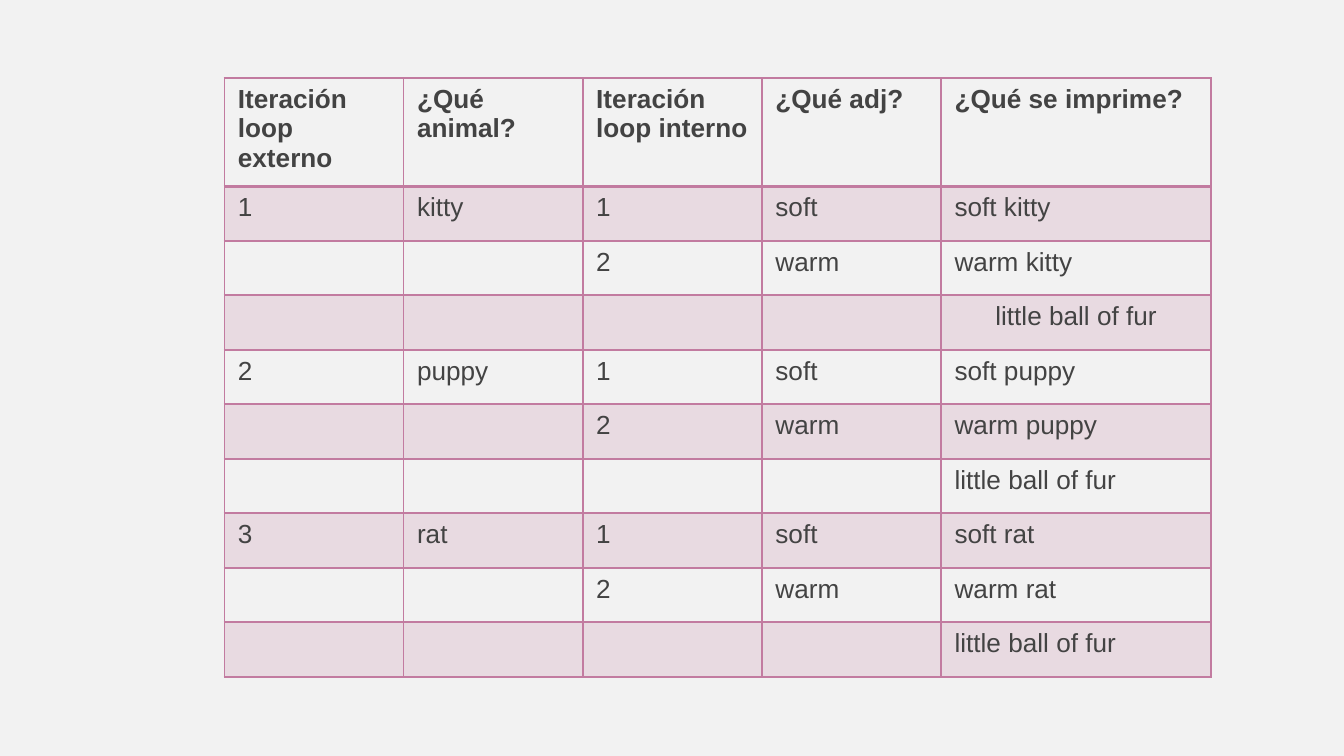
from dataclasses import dataclass

from lxml import etree
from pptx import Presentation
from pptx.dml.color import RGBColor
from pptx.enum.text import PP_ALIGN
from pptx.oxml.ns import qn
from pptx.table import _Cell
from pptx.util import Inches, Pt

CENTER = PP_ALIGN.CENTER
LEFT = PP_ALIGN.LEFT
BACKGROUND = RGBColor(0xF2, 0xF2, 0xF2)
PINK = RGBColor(0xC2, 0x7B, 0xA0)
GRAY = RGBColor(0x43, 0x43, 0x43)
BAND_ALPHA = 20

HEADERS = (
    "Iteración loop externo",
    "¿Qué animal?",
    "Iteración loop interno",
    "¿Qué adj?",
    "¿Qué se imprime?",
)
ANIMALS = ("kitty", "puppy", "rat")
ADJECTIVES = ("soft", "warm")
CLOSING = "little ball of fur"

COL_WIDTHS = [Inches(4) // 3] * 4 + [Inches(2.01)]
ROW_HEIGHT = Pt(29.2)
TABLE_HEIGHT = Inches(4.45)


@dataclass(frozen=True)
class TraceRow:
    values: tuple[str, ...]
    bold: bool = False
    banded: bool = False
    last_align: PP_ALIGN = LEFT


def trace_rows() -> list[TraceRow]:
    steps = []
    for outer, animal in enumerate(ANIMALS, 1):
        for inner, adj in enumerate(ADJECTIVES, 1):
            first = (str(outer), animal) if inner == 1 else ("", "")
            steps.append((*first, str(inner), adj, f"{adj} {animal}"))
        steps.append(("", "", "", "", CLOSING))
    first_closing = len(ADJECTIVES)
    body = [
        TraceRow(values, banded=i % 2 == 0,
                 last_align=CENTER if i == first_closing else LEFT)
        for i, values in enumerate(steps)
    ]
    return [TraceRow(HEADERS, bold=True), *body]


def set_borders(cell: _Cell, top: float, bottom: float) -> None:
    tc_pr = cell._tc.get_or_add_tcPr()
    widths = {"a:lnL": 1, "a:lnR": 1, "a:lnT": top, "a:lnB": bottom}
    for i, (tag, width) in enumerate(widths.items()):
        ln = etree.Element(qn(tag), w=str(Pt(width)))
        fill = etree.SubElement(ln, qn("a:solidFill"))
        etree.SubElement(fill, qn("a:srgbClr"), val=str(PINK))
        tc_pr.insert(i, ln)


def set_fill(cell: _Cell, banded: bool) -> None:
    if not banded:
        cell.fill.background()
        return
    cell.fill.solid()
    cell.fill.fore_color.rgb = PINK
    color = cell._tc.tcPr.find(f".//{qn('a:srgbClr')}")
    etree.SubElement(color, qn("a:alpha"), val=str(BAND_ALPHA * 1000))


def set_text(cell: _Cell, text: str, bold: bool, align: PP_ALIGN) -> None:
    p = cell.text_frame.paragraphs[0]
    p.text = text
    p.alignment = align
    p.font.size = Pt(14)
    for r in p.runs:
        r.font.name = "Arial"
        r.font.size = Pt(14)
        r.font.bold = bold
        r.font.color.rgb = GRAY


def main() -> None:
    prs = Presentation()
    prs.slide_width = Inches(10)
    prs.slide_height = prs.slide_width * 9 // 16
    slide = prs.slides.add_slide(prs.slide_layouts[6])
    slide.background.fill.solid()
    slide.background.fill.fore_color.rgb = BACKGROUND

    rows = trace_rows()
    frame = slide.shapes.add_table(
        len(rows), len(HEADERS), Inches(1.67), Inches(0.58),
        sum(COL_WIDTHS), TABLE_HEIGHT,
    )
    table = frame.table
    table.first_row = False
    table.horz_banding = False
    for column, width in zip(table.columns, COL_WIDTHS):
        column.width = width

    for i, row in enumerate(rows):
        table.rows[i].height = ROW_HEIGHT
        for j, text in enumerate(row.values):
            cell = table.cell(i, j)
            align = row.last_align if j == len(HEADERS) - 1 else LEFT
            set_text(cell, text, row.bold, align)
            set_fill(cell, row.banded)
            set_borders(cell, top=2 if i == 1 else 1, bottom=2 if i == 0 else 1)
            if i == 0:
                cell.margin_bottom = Inches(0.1)
    frame.height = TABLE_HEIGHT

    prs.save("out.pptx")


if __name__ == "__main__":
    main()
